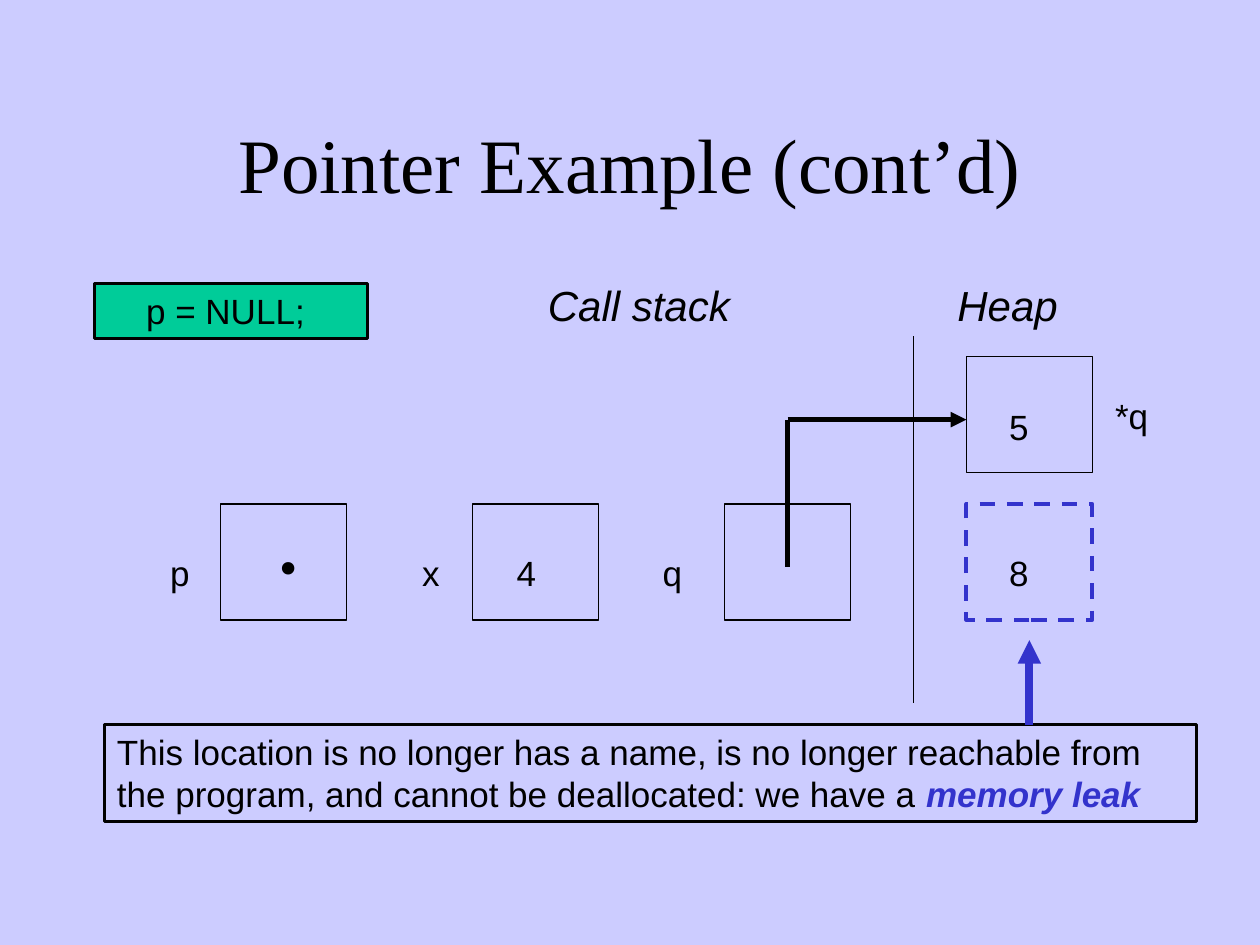
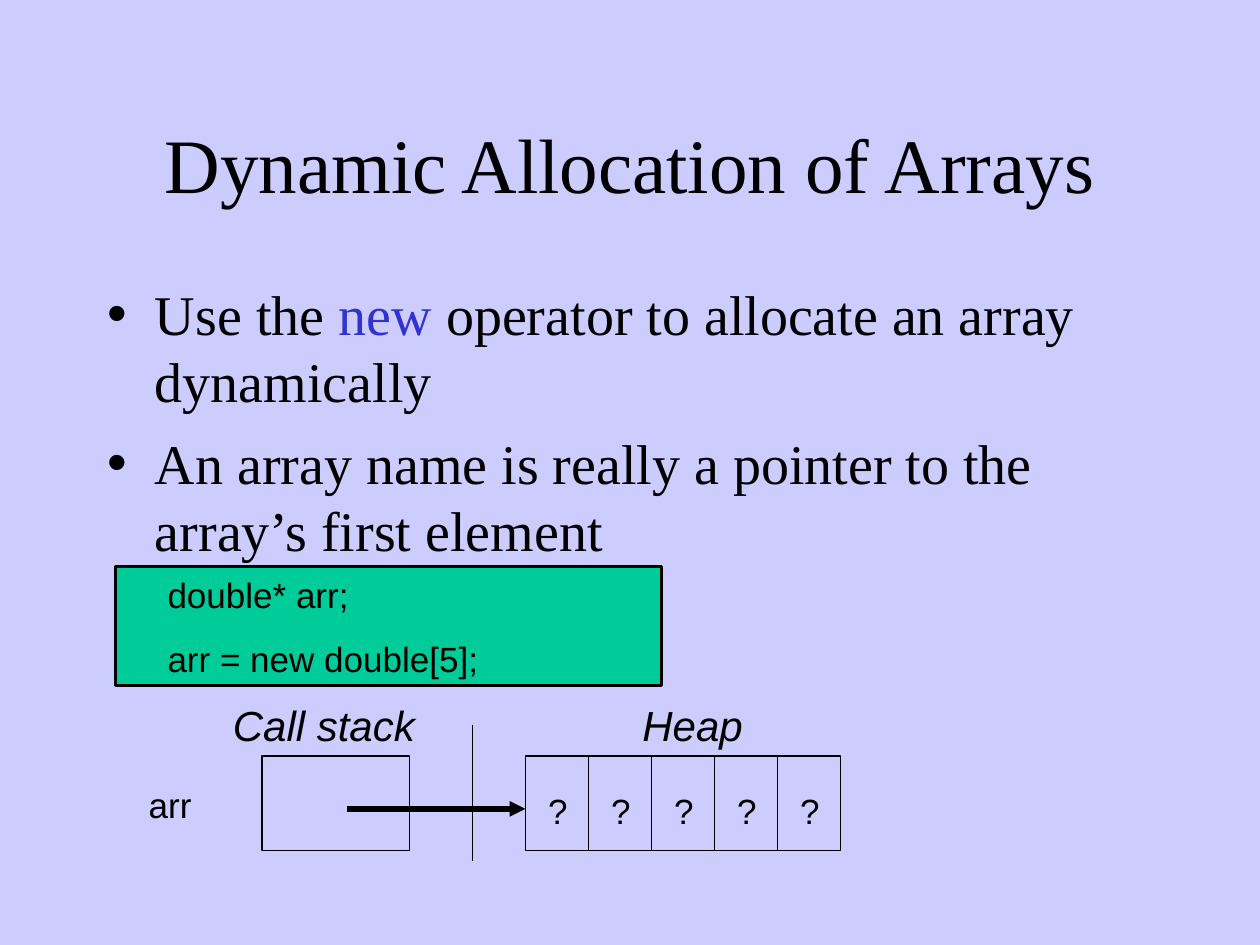
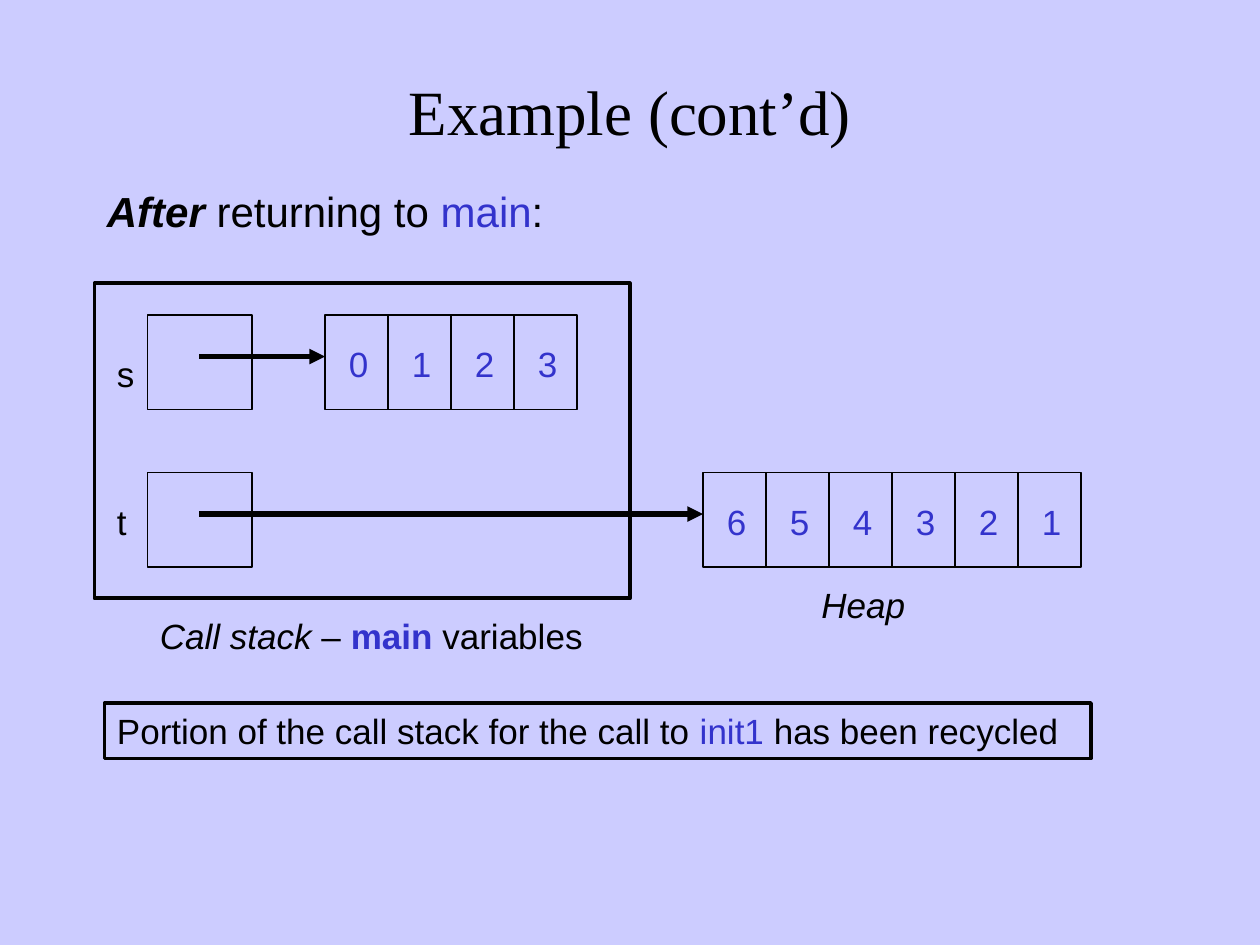
"""Build three slides on pointers, the call stack and the heap."""
from pptx import Presentation
from pptx.dml.color import RGBColor
from pptx.enum.dml import MSO_LINE
from pptx.enum.shapes import MSO_CONNECTOR, MSO_SHAPE
from pptx.enum.text import MSO_ANCHOR, MSO_AUTO_SIZE, PP_ALIGN
from pptx.oxml.ns import qn
from pptx.util import Inches, Pt
from lxml.etree import SubElement

BLACK = RGBColor(0x00, 0x00, 0x00)
BLUE = RGBColor(0x33, 0x33, 0xCC)
GREEN = RGBColor(0x00, 0xCC, 0x99)
LILAC = RGBColor(0xCC, 0xCC, 0xFF)
SANS = "Arial"
SERIF = "Times New Roman"
CELL = 0.5
TALL = 0.75
PAD = 0.18


def write(frame, *paras, size=20, font=SANS, color=BLACK, bold=False, italic=False,
          align=PP_ALIGN.LEFT, before=None, left=0.1, anchor=MSO_ANCHOR.TOP):
    """Fill a frame; a paragraph is a string or a list of strings and (string, format) pairs."""
    frame.word_wrap = True
    frame.auto_size = MSO_AUTO_SIZE.NONE
    frame.vertical_anchor = anchor
    frame.margin_left = Inches(left)
    for i, runs in enumerate(paras):
        para = frame.add_paragraph() if i else frame.paragraphs[0]
        para.alignment = align
        para.space_before = Pt(size * 0.625 if before is None else before)
        for part in [runs] if isinstance(runs, str) else runs:
            words, look = (part, {}) if isinstance(part, str) else part
            run = para.add_run()
            run.text = words
            run.font.name = font
            run.font.size = Pt(size)
            run.font.bold = look.get("bold", bold)
            run.font.italic = look.get("italic", italic)
            run.font.color.rgb = look.get("color", color)


def place(shape, x, y, w, h):
    """Move and size a placeholder."""
    shape.left, shape.top, shape.width, shape.height = map(Inches, (x, y, w, h))


def start(deck, title, top=0.67, size=44, layout=5):
    """Add a slide with a centred title."""
    slide = deck.slides.add_slide(deck.slide_layouts[layout])
    place(slide.shapes.title, 0.75, top, 8.5, 1.25)
    write(slide.shapes.title.text_frame, title, size=size, font=SERIF, before=0,
          align=PP_ALIGN.CENTER, anchor=MSO_ANCHOR.MIDDLE)
    return slide


def label(slide, x, y, w, *paras, h=0.44, **look):
    """Add a text box."""
    box = slide.shapes.add_textbox(*map(Inches, (x, y, w, h)))
    write(box.text_frame, *paras, **look)


def rect(slide, x, y, w, h, *paras, fill=None, line=BLACK, width=0.75, dash=None, **look):
    """Add an outlined box, with text if given."""
    box = slide.shapes.add_shape(MSO_SHAPE.RECTANGLE, *map(Inches, (x, y, w, h)))
    box.shadow.inherit = False
    if fill is None:
        box.fill.background()
    else:
        box.fill.solid()
        box.fill.fore_color.rgb = fill
    box.line.color.rgb = line
    box.line.width = Pt(width)
    if dash:
        box.line.dash_style = dash
    if paras:
        write(box.text_frame, *paras, **look)


def link(slide, x1, y1, x2, y2, width=3, color=BLACK, head=True):
    """Add a straight line, with an arrowhead at its end if asked."""
    line = slide.shapes.add_connector(MSO_CONNECTOR.STRAIGHT,
                                      *map(Inches, (x1, y1, x2, y2)))
    line.line.color.rgb = color
    line.line.width = Pt(width)
    props = line._element.spPr
    if head:
        SubElement(props.find(qn("a:ln")), qn("a:tailEnd"), type="triangle")
    SubElement(props, qn("a:effectLst"))


def row(slide, x, y, marks, dx=0.09, dy=0.17, w=0.33, **look):
    """Add an array as a row of cells, one mark in each."""
    for i, mark in enumerate(marks):
        left = x + i * CELL
        rect(slide, left, y, CELL, TALL)
        label(slide, left + dx, y + dy, w, mark, **look)


def heads(slide, y, stack, heap):
    """Name the two areas of memory."""
    label(slide, stack, y, 1.83, "Call stack", h=0.5, size=24, italic=True)
    label(slide, heap, y, 1.17, "Heap", h=0.5, size=24, italic=True)


def leak(deck):
    """Show the memory leak."""
    slide = start(deck, "Pointer Example (cont’d)")
    rect(slide, 0.75, 2.25, 2.17, 0.44, "p = NULL;", fill=GREEN, width=1.75, left=0.41)
    heads(slide, 2.17, 4.25, 7.5)
    for x in (1.75, 3.75, 5.75):
        rect(slide, x, 4, 1, 0.92)
    rect(slide, 7.67, 4, 1, 0.92, line=BLUE, width=2.25, dash=MSO_LINE.DASH)
    rect(slide, 7.67, 2.83, 1, 0.92)
    marks = [(1.17, 4.33, "p"), (3.17, 4.33, "x"), (5.08, 4.33, "q"), (3.92, 4.33, "4"),
             (7.83, 4.33, "8"), (7.83, 3.17, "5"), (8.67, 3.08, "*q")]
    for x, y, mark in marks:
        label(slide, x, y, 0.67, mark, left=PAD)
    label(slide, 1.92, 3.67, 0.75, ".", h=1.1, size=60, font=SERIF, left=0.27)
    link(slide, 7.25, 2.67, 7.25, 5.58, width=0.75, head=False)
    link(slide, 6.25, 3.33, 6.25, 4.5, head=False)
    link(slide, 6.25, 3.33, 7.67, 3.33)
    rect(slide, 0.83, 5.75, 8.67, 0.77,
         ["This location is no longer has a name, is no longer reachable from the program, "
          "and cannot be deallocated: we have a ",
          ("memory leak", {"color": BLUE, "bold": True, "italic": True})], width=1.75)
    link(slide, 8.17, 5.75, 8.17, 5.08, width=4.5, color=BLUE)


def arrays(deck):
    """Show how an array is allocated."""
    slide = start(deck, "Dynamic Allocation of Arrays", layout=1)
    body = slide.placeholders[1]
    place(body, 0.75, 2.17, 8.5, 2.42)
    write(body.text_frame,
          ["Use the ", ("new", {"color": BLUE}), " operator to allocate an array dynamically"],
          "An array name is really a pointer to the array’s first element",
          size=32, font=SERIF, before=8)
    for para in body.text_frame.paragraphs:
        props = para._p.get_or_add_pPr()
        props.set("marL", str(Inches(0.38)))
        props.set("indent", str(Inches(-0.38)))
        SubElement(props, qn("a:buChar"), char="•")
    rect(slide, 0.92, 4.5, 4.33, 0.94, "double* arr;", "arr = new double[5];",
         fill=GREEN, width=1.75, left=0.41)
    heads(slide, 5.5, 1.75, 5)
    link(slide, 3.75, 5.75, 3.75, 6.83, width=0.75, head=False)
    rect(slide, 2.08, 6, 1.17, TALL)
    label(slide, 1, 6.17, 0.75, "arr", left=PAD)
    row(slide, 4.17, 6, "?????", dx=0, dy=0.22, w=CELL, left=PAD)
    link(slide, 2.75, 6.42, 4.17, 6.42)


def after(deck):
    """Show memory after the call returns."""
    slide = start(deck, "Example (cont’d)", top=0.25, size=36)
    label(slide, 0.75, 1.42, 7.58,
          [("After", {"bold": True, "italic": True}), " returning to ",
           ("main", {"color": BLUE}), ":"], h=0.5, size=24)
    rect(slide, 0.75, 2.25, 4.25, 2.5, width=2.25)
    rows = [("s", 2.5, 2.75, 2.58, "0123"), ("t", 3.75, 3.92, 5.58, "654321")]
    for name, y, base, x, marks in rows:
        rect(slide, 1.17, y, 0.83, TALL)
        label(slide, 0.83, base, 0.33, name)
        row(slide, x, y, marks, color=BLUE)
        link(slide, 1.58, y + 0.33, x, y + 0.33)
    label(slide, 1.17, 4.83, 3.67,
          [("Call stack", {"italic": True}), " – ",
           ("main", {"color": BLUE, "bold": True}), " variables"])
    label(slide, 6.42, 4.58, 1, "Heap", italic=True)
    rect(slide, 0.83, 5.58, 7.83, 0.44,
         ["Portion of the call stack for the call to ", ("init1", {"color": BLUE}),
          " has been recycled"], width=2)


def main():
    """Build and save the deck."""
    deck = Presentation()
    deck.slide_width, deck.slide_height = Inches(10), Inches(7.5)
    fill = deck.slide_master.background.fill
    fill.solid()
    fill.fore_color.rgb = LILAC
    leak(deck)
    arrays(deck)
    after(deck)
    deck.save("out.pptx")


if __name__ == "__main__":
    main()
